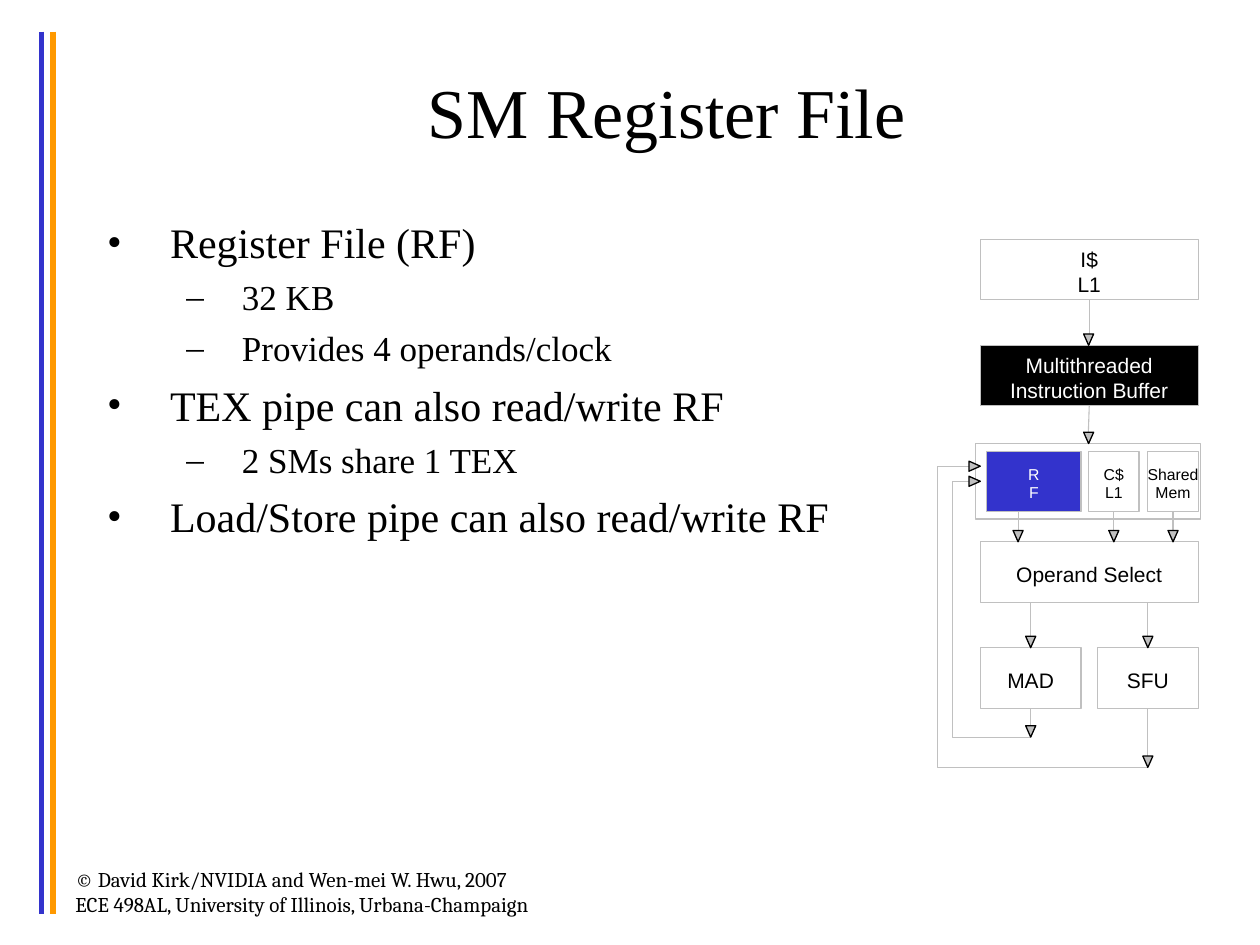
from lxml.etree import SubElement
from pptx import Presentation
from pptx.dml.color import RGBColor
from pptx.enum.shapes import MSO_CONNECTOR as Connector, MSO_SHAPE as Shape
from pptx.enum.text import MSO_ANCHOR as Anchor, MSO_AUTO_SIZE as AutoSize, PP_ALIGN as Align
from pptx.oxml.ns import qn
from pptx.util import Inches, Pt

BLACK, WHITE, BLUE, ORANGE, GREY = "000000", "FFFFFF", "3333CC", "FF9900", "C0C0C0"
SERIF = "Times New Roman"
BOTTOM, TOP = 2, 0


def paint(target, hex_colour):
    """Give a fill, line or font a solid colour."""
    if hasattr(target, "solid"):
        target.solid()
        target.fore_color.rgb = RGBColor.from_string(hex_colour)
    else:
        target.color.rgb = RGBColor.from_string(hex_colour)


def add_outline(page, points, fill, line, width, close):
    """Draw straight segments through points given in inches."""
    corners = [(Inches(x), Inches(y)) for x, y in points]
    builder = page.shapes.build_freeform(*corners[0], scale=1.0)
    builder.add_line_segments(corners[1:], close=close)
    outline = builder.convert_to_shape()
    outline.shadow.inherit = False
    if fill:
        paint(outline.fill, fill)
    else:
        outline.fill.background()
    paint(outline.line, line)
    outline.line.width = Pt(width)


deck = Presentation()
deck.slide_width, deck.slide_height = Inches(10), Inches(7.5)
page = deck.slides.add_slide(deck.slide_layouts[1])

# Vertical bars at the left edge
for x, colour in [(0.33, BLUE), (0.42, ORANGE)]:
    bar = page.shapes.add_connector(
        Connector.STRAIGHT, Inches(x), Inches(0.25), Inches(x), Inches(7.25))
    paint(bar.line, colour)
    bar.line.width = Pt(3)
    SubElement(bar._element.spPr, qn("a:effectLst"))

# Title
title = page.shapes.title
title.left, title.top, title.width, title.height = map(Inches, (0.75, 0.25, 9.08, 1.25))
title.text_frame.auto_size = AutoSize.NONE
title.text_frame.vertical_anchor = Anchor.MIDDLE
para = title.text_frame.paragraphs[0]
para.alignment = Align.CENTER
span = para.add_run()
span.text = "SM Register File"
span.font.name, span.font.size = SERIF, Pt(40)
paint(span.font, BLACK)

# Bulleted list
body = page.placeholders[1]
body.left, body.top, body.width, body.height = map(Inches, (0.75, 1.67, 6.56, 5))
body.text_frame.auto_size = AutoSize.NONE
# For each level: left margin, hanging indent, bullet, text size, space before
levels = [(0.5, -0.5, "•", 24, 6), (1.07, -0.44, "–", 20, 5)]
points = [
    (0, "Register File (RF)"),
    (1, "32 KB"),
    (1, "Provides 4 operands/clock"),
    (0, "TEX pipe can also read/write RF"),
    (1, "2 SMs share 1 TEX"),
    (0, "Load/Store pipe can also read/write RF"),
]
for index, (level, text) in enumerate(points):
    margin, indent, bullet, size, gap = levels[level]
    para = body.text_frame.add_paragraph() if index else body.text_frame.paragraphs[0]
    para.level = level
    para.space_before = Pt(gap if index else 0)
    props = para._p.get_or_add_pPr()
    props.set("marL", str(Inches(margin)))
    props.set("indent", str(Inches(indent)))
    bullet_colour = SubElement(props, qn("a:buClr"))
    SubElement(bullet_colour, qn("a:srgbClr"), val=BLACK)
    SubElement(props, qn("a:buFont"), typeface=SERIF)
    SubElement(props, qn("a:buChar"), char=bullet)
    span = para.add_run()
    span.text = text
    span.font.name, span.font.size = SERIF, Pt(size)
    paint(span.font, BLACK)

# Copyright lines
footer = page.shapes.add_textbox(Inches(0.5), Inches(6.83), Inches(4.33), Inches(0.5))
footer.text_frame.word_wrap = True
for index, text in enumerate(["© David Kirk/NVIDIA and Wen-mei W. Hwu, 2007",
                              "ECE 498AL, University of Illinois, Urbana-Champaign"]):
    para = footer.text_frame.add_paragraph() if index else footer.text_frame.paragraphs[0]
    span = para.add_run()
    span.text = text
    span.font.name, span.font.size = "Cambria", Pt(12)
    paint(span.font, BLACK)

# Pipeline boxes: left, top, width, height, fill, text colour, text size, lines
boxes = {}
for name, left, top, width, height, fill, ink, size, lines in [
    ("frame", 7.74, 3.52, 1.79, 0.6, None, BLACK, 9, []),
    ("fetch", 7.78, 1.9, 1.73, 0.48, WHITE, BLACK, 12, ["I$", "L1"]),
    ("buffer", 7.78, 2.74, 1.73, 0.48, BLACK, WHITE, 12,
     ["Multithreaded", "Instruction Buffer"]),
    ("registers", 7.83, 3.58, 0.75, 0.48, BLUE, WHITE, 9, ["R", "F"]),
    ("constants", 8.64, 3.58, 0.4, 0.48, WHITE, BLACK, 9, ["C$", "L1"]),
    ("shared", 9.11, 3.58, 0.4, 0.48, WHITE, BLACK, 9, ["Shared", "Mem"]),
    ("operands", 7.78, 4.3, 1.73, 0.48, WHITE, BLACK, 12, ["Operand Select"]),
    ("mad", 7.78, 5.14, 0.8, 0.48, WHITE, BLACK, 12, ["MAD"]),
    ("sfu", 8.71, 5.14, 0.8, 0.48, WHITE, BLACK, 12, ["SFU"]),
]:
    box = page.shapes.add_shape(
        Shape.RECTANGLE, Inches(left), Inches(top), Inches(width), Inches(height))
    boxes[name] = box
    box.shadow.inherit = False
    if fill:
        paint(box.fill, fill)
    else:
        box.fill.background()
    paint(box.line, GREY)
    box.line.width = Pt(0.62)
    frame = box.text_frame
    frame.word_wrap = False
    frame.vertical_anchor = Anchor.MIDDLE
    frame.margin_left = frame.margin_right = frame.margin_bottom = 0
    frame.margin_top = Inches(0.03)
    for index, text in enumerate(lines):
        para = frame.add_paragraph() if index else frame.paragraphs[0]
        para.alignment = Align.CENTER
        span = para.add_run()
        span.text = text
        span.font.name, span.font.size = "Arial", Pt(size)
        paint(span.font, ink)

# Feedback paths from the arithmetic units to the register file
for start_x, low, left, high in [(8.18, 5.85, 7.56, 3.82), (9.11, 6.09, 7.44, 3.7)]:
    add_outline(page, [(start_x, low), (left, low), (left, high), (7.71, high)],
                None, GREY, 0.62, False)
    add_outline(page, [(7.78, high), (7.69, high + 0.04), (7.69, high - 0.04)],
                GREY, BLACK, 0, True)

# Downward arrows: x, start, end, box joined at the start, box joined at the end
for x, start, end, source, target in [
    (8.64, 2.38, 2.74, "fetch", "buffer"),
    (8.64, 3.22, 3.52, "buffer", "frame"),
    (8.08, 4.06, 4.3, None, None),
    (8.84, 4.06, 4.3, "constants", None),
    (9.31, 4.06, 4.3, "shared", None),
    (8.18, 4.78, 5.14, None, "mad"),
    (9.11, 4.78, 5.14, None, "sfu"),
    (8.18, 5.62, 5.85, "mad", None),
    (9.11, 5.62, 6.09, "sfu", None),
]:
    arrow = page.shapes.add_connector(
        Connector.STRAIGHT, Inches(x), Inches(start), Inches(x), Inches(end))
    if source:
        arrow.begin_connect(boxes[source], BOTTOM)
    if target:
        arrow.end_connect(boxes[target], TOP)
    paint(arrow.line, GREY)
    arrow.line.width = Pt(0.62)
    SubElement(arrow._element.spPr, qn("a:effectLst"))
    add_outline(page, [(x, end), (x - 0.04, end - 0.09), (x + 0.04, end - 0.09)],
                GREY, BLACK, 0, True)

deck.save("out.pptx")
